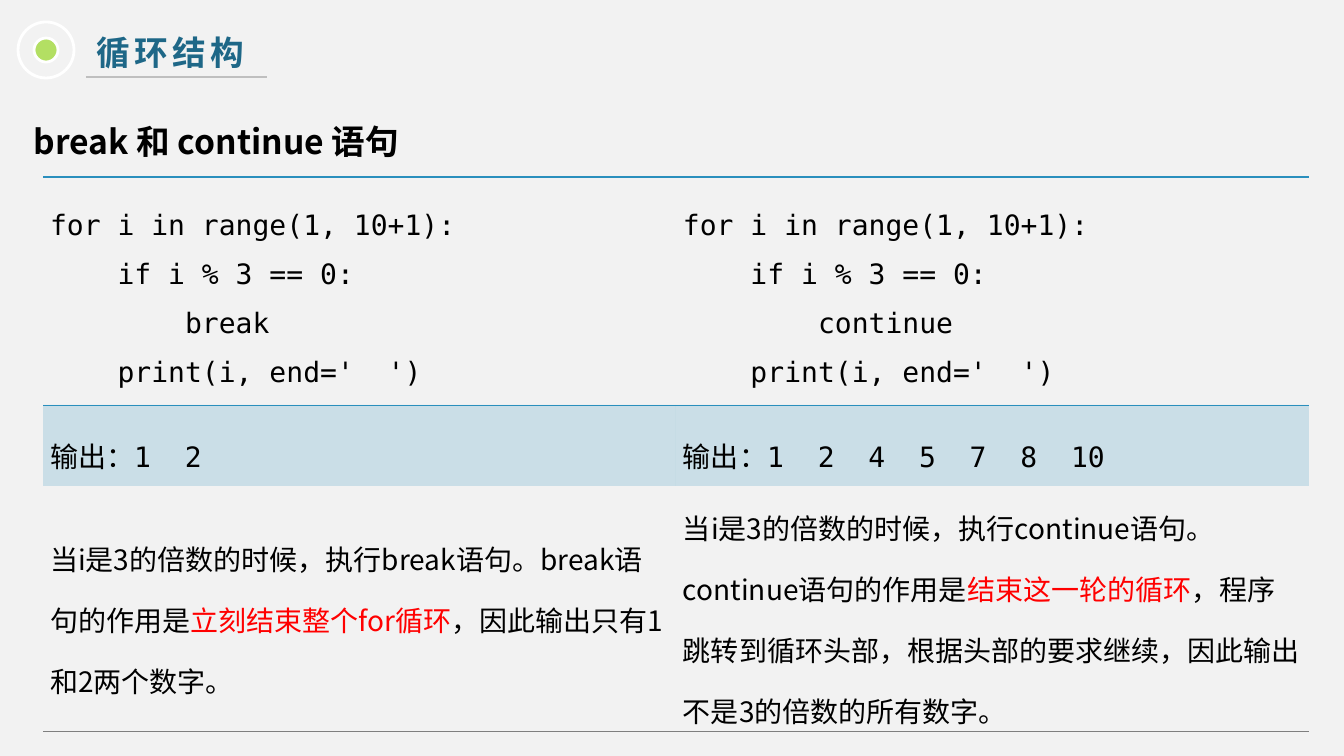
from lxml.etree import SubElement
from pptx import Presentation
from pptx.dml.color import RGBColor
from pptx.enum.shapes import MSO_CONNECTOR, MSO_SHAPE
from pptx.enum.text import MSO_ANCHOR
from pptx.oxml import parse_xml
from pptx.oxml.ns import nsdecls, qn
from pptx.util import Pt

SANS, MONO = "Noto Sans CJK SC", "DejaVu Sans Mono"
BLACK, RED, BLUE, GREY = "000000", "FF0000", "2A8FBD", "7F7F7F"
WHITE, GREEN, TEAL, PALE = "FFFFFF", "B3DF63", "1E6787", "F2F2F2"
NO_STYLE = "{2D5ABB26-0587-4C30-8999-92F81FD0307C}"

TITLE = "循环结构"
HEADING = "break 和 continue 语句"
KEYWORDS = ("break", "continue")
OUTPUTS = ("输出：1  2", "输出：1  2  4  5  7  8  10")
EXPLANATIONS = (
    [("当i是3的倍数的时候，执行break语句。break语句的作用是", BLACK),
     ("立刻结束整个for循环", RED),
     ("，因此输出只有1和2两个数字。", BLACK)],
    [("当i是3的倍数的时候，执行continue语句。continue语句的作用是", BLACK),
     ("结束这一轮的循环", RED),
     ("，程序跳转到循环头部，根据头部的要求继续，因此输出不是3的倍数的所有数字。", BLACK)],
)

CIRCLE_CENTER = (46, 50)
CIRCLES = ((24, GREEN), (56, None))
TABLE_LEFT, TABLE_TOP, COLUMN_WIDTH = 43, 177, 633
ROW_HEIGHTS = (228, 81, 246)
ROW_BORDERS = (
    {"T": (BLUE, 1.5), "B": (BLUE, 0.75)},
    {"T": (BLUE, 0.75)},
    {"B": (GREY, 0.75)},
)


def px(value):
    return round(value * 914400 / 100.8)


def color(value):
    return RGBColor.from_string(value)


def add_run(paragraph, text, size, font_name, text_color, bold=False):
    run = paragraph.add_run()
    run.text = text
    run.font.size = Pt(size)
    run.font.name = font_name
    run.font.bold = bold
    run.font.color.rgb = color(text_color)
    SubElement(run.font._element, qn("a:ea")).set("typeface", SANS)
    return run


def add_heading(slide, box, text, text_color, line_spacing):
    shape = slide.shapes.add_textbox(*map(px, box))
    shape.text_frame.word_wrap = True
    paragraph = shape.text_frame.paragraphs[0]
    paragraph.line_spacing = line_spacing
    return add_run(paragraph, text, 24, SANS, text_color, True)


def add_circles(slide):
    group = slide.shapes.add_group_shape()
    center_x, center_y = CIRCLE_CENTER
    for diameter, fill_color in CIRCLES:
        left, top = center_x - diameter / 2, center_y - diameter / 2
        circle = group.shapes.add_shape(
            MSO_SHAPE.OVAL, px(left), px(top), px(diameter), px(diameter))
        circle.shadow.inherit = False
        if fill_color:
            circle.fill.solid()
            circle.fill.fore_color.rgb = color(fill_color)
        else:
            circle.fill.background()
        circle.line.color.rgb = color(WHITE)
        circle.line.width = Pt(2)


def set_borders(cell, borders):
    properties = cell._tc.get_or_add_tcPr()
    for index, side in enumerate("LRTB"):
        if side in borders:
            line_color, width = borders[side]
            fill = f'<a:solidFill><a:srgbClr val="{line_color}"/></a:solidFill>'
        else:
            width, fill = 0, "<a:noFill/>"
        properties.insert(index, parse_xml(
            f'<a:ln{side} {nsdecls("a")} w="{Pt(width)}">{fill}</a:ln{side}>'))


def fill_cell(cell, lines, font_name, borders, shaded):
    cell.margin_left = cell.margin_right = px(7)
    cell.margin_top = cell.margin_bottom = 0
    cell.vertical_anchor = MSO_ANCHOR.MIDDLE
    if shaded:
        cell.fill.solid()
        cell.fill.fore_color.rgb = color(BLUE)
        shade = cell._tc.tcPr.find(".//" + qn("a:srgbClr"))
        SubElement(shade, qn("a:alpha")).set("val", "20000")
    else:
        cell.fill.background()
    set_borders(cell, borders)
    frame = cell.text_frame
    for index, runs in enumerate(lines):
        paragraph = frame.add_paragraph() if index else frame.paragraphs[0]
        paragraph.line_spacing = 1.5
        for text, text_color in runs:
            add_run(paragraph, text, 20, font_name, text_color)


def add_comparison(slide):
    frame = slide.shapes.add_table(
        len(ROW_HEIGHTS), len(KEYWORDS), px(TABLE_LEFT), px(TABLE_TOP),
        px(COLUMN_WIDTH * len(KEYWORDS)), px(sum(ROW_HEIGHTS)))
    table = frame.table
    table.first_row = table.horz_banding = False
    table._tbl.tblPr.find(qn("a:tableStyleId")).text = NO_STYLE
    for row, height in zip(table.rows, ROW_HEIGHTS):
        row.height = px(height)
    for column, keyword in enumerate(KEYWORDS):
        table.columns[column].width = px(COLUMN_WIDTH)
        code = ("for i in range(1, 10+1):", "    if i % 3 == 0:",
                f"        {keyword}", "    print(i, end='  ')")
        contents = (
            ([[(line, BLACK)] for line in code], MONO),
            ([[(OUTPUTS[column], BLACK)]], MONO),
            ([EXPLANATIONS[column]], SANS),
        )
        for row, (lines, font_name) in enumerate(contents):
            fill_cell(table.cell(row, column), lines, font_name,
                      ROW_BORDERS[row], row == 1)


def main():
    presentation = Presentation()
    presentation.slide_width, presentation.slide_height = px(1344), px(756)
    slide = presentation.slides.add_slide(presentation.slide_layouts[6])
    slide.background.fill.solid()
    slide.background.fill.fore_color.rgb = color(PALE)

    title = add_heading(slide, (87, 27, 689, 50), TITLE, TEAL, 1.0)
    title.font._element.set("spc", "300")
    add_circles(slide)
    underline = slide.shapes.add_connector(
        MSO_CONNECTOR.STRAIGHT, px(86), px(77), px(267), px(77))
    underline.line.color.rgb = color("BFBFBF")
    underline.line.width = Pt(0.75)
    SubElement(underline._element.spPr, qn("a:effectLst"))
    add_heading(slide, (24, 96, 1296, 65), HEADING, BLACK, 1.5)
    add_comparison(slide)
    presentation.save("out.pptx")


if __name__ == "__main__":
    main()
